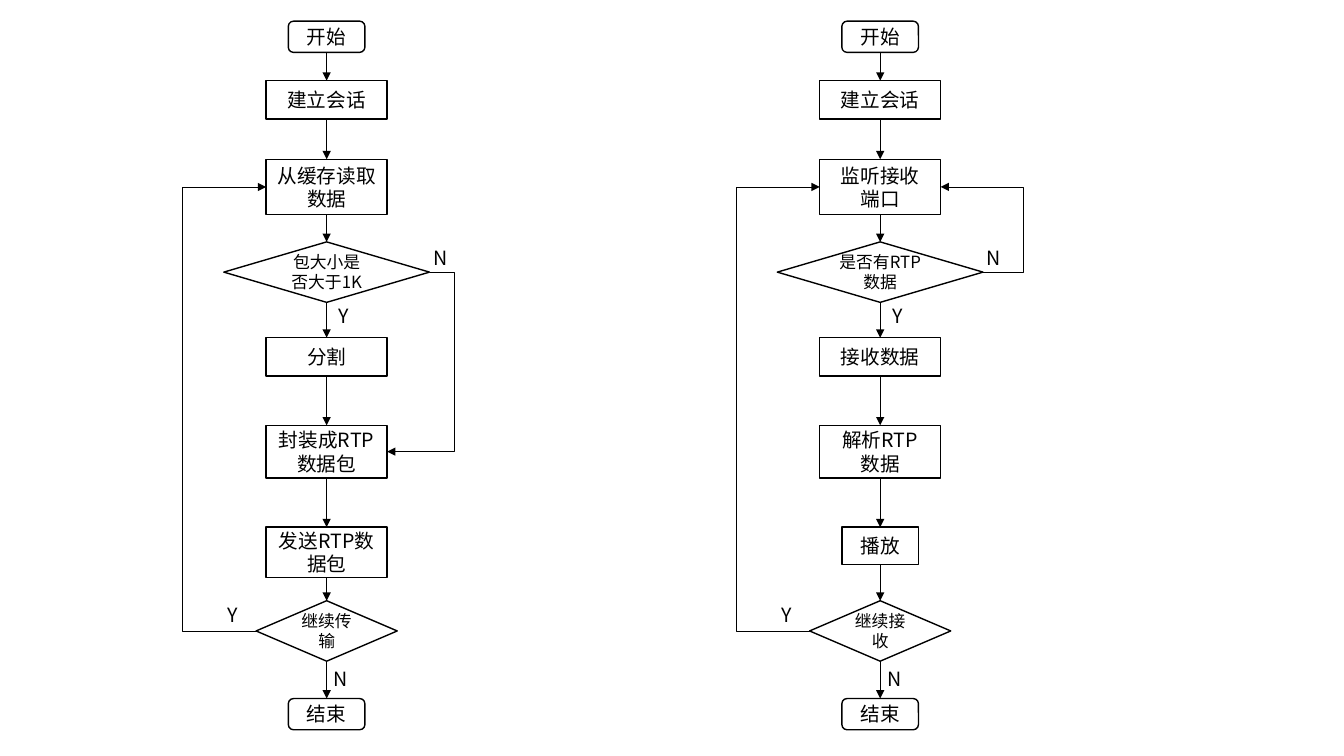
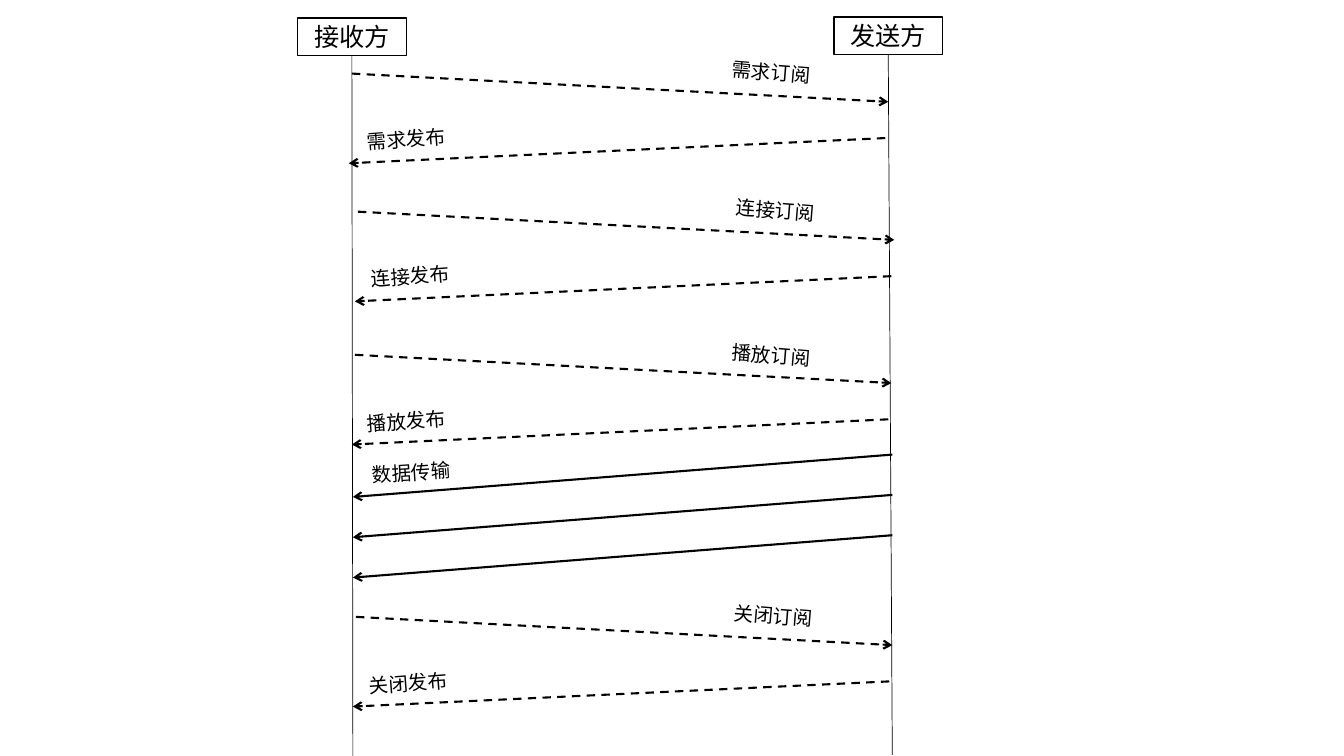
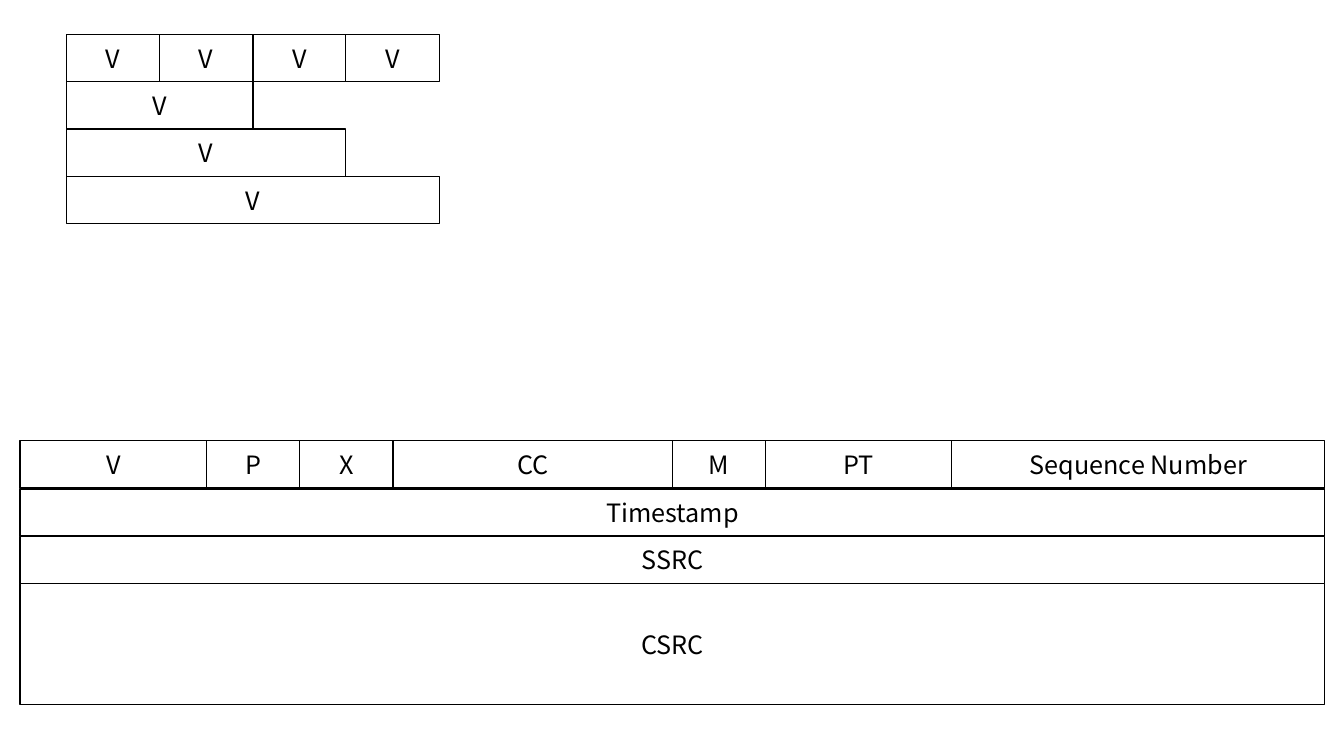
from dataclasses import dataclass

from lxml import etree
from pptx import Presentation
from pptx.dml.color import RGBColor
from pptx.enum.dml import MSO_LINE
from pptx.enum.shapes import MSO_CONNECTOR, MSO_SHAPE
from pptx.enum.text import MSO_ANCHOR, MSO_AUTO_SIZE, PP_ALIGN
from pptx.oxml.ns import qn
from pptx.util import Pt

TERMINAL = MSO_SHAPE.FLOWCHART_ALTERNATE_PROCESS
PROCESS = MSO_SHAPE.FLOWCHART_PROCESS
DECISION = MSO_SHAPE.FLOWCHART_DECISION
RECTANGLE = MSO_SHAPE.RECTANGLE
STRAIGHT, ELBOW = MSO_CONNECTOR.STRAIGHT, MSO_CONNECTOR.ELBOW
DASH = MSO_LINE.DASH
MIDDLE = MSO_ANCHOR.MIDDLE
CENTER, LEFT = PP_ALIGN.CENTER, PP_ALIGN.LEFT
GROW = MSO_AUTO_SIZE.SHAPE_TO_FIT_TEXT
TOP_SITE, LEFT_SITE, BOTTOM_SITE, RIGHT_SITE = range(4)
PX = 9144


@dataclass(frozen=True)
class Theme:
    ink: RGBColor = RGBColor(0, 0, 0)
    paper: RGBColor = RGBColor(255, 255, 255)
    font: str = "Noto Sans CJK SC"
    small: int = 12
    body: int = 14
    large: int = 18
    hairline: float = 0.5
    outline: float = 1
    message: float = 1.5


THEME = Theme()


def add_text(page, at, text, size=THEME.body, preset=None, filled=True):
    bounds = [length * PX for length in at]
    if preset is None:
        box = page.shapes.add_textbox(*bounds)
        box.text_frame.auto_size = GROW
    else:
        box = page.shapes.add_shape(preset, *bounds)
        box.shadow.inherit = False
        box.line.color.rgb = THEME.ink
        box.line.width = Pt(THEME.outline)
        if filled:
            box.fill.solid()
            box.fill.fore_color.rgb = THEME.paper
        else:
            box.fill.background()
        box.text_frame.vertical_anchor = MIDDLE
    box.text_frame.word_wrap = True
    box.text_frame.text = text
    for para in box.text_frame.paragraphs:
        para.alignment = CENTER if preset else LEFT
        para.font.name = THEME.font
        para.font.size = Pt(size)
        para.font.color.rgb = THEME.ink
        defaults = para._p.pPr.find(qn("a:defRPr"))
        etree.SubElement(defaults, qn("a:ea"), typeface=THEME.font)
    return box


def add_line(page, start, end, width=THEME.hairline, tail=None, dash=None, via=None):
    kind = STRAIGHT if via is None else ELBOW
    line = page.shapes.add_connector(kind, *[length * PX for length in (*start, *end)])
    line.line.color.rgb = THEME.ink
    line.line.width = Pt(width)
    if dash:
        line.line.dash_style = dash
    if tail:
        etree.SubElement(line.line._get_or_add_ln(), qn("a:tailEnd"), type=tail)
    properties = line._element.spPr
    etree.SubElement(properties, qn("a:effectLst"))
    if via is not None:
        bend = round((via - start[0]) / (end[0] - start[0]) * 100000)
        guides = properties.find(qn("a:prstGeom")).get_or_add_avLst()
        etree.SubElement(guides, qn("a:gd"), name="adj1", fmla=f"val {bend}")
    return line


deck = Presentation()
deck.slide_width = 1333 * PX
deck.slide_height = 750 * PX
blank = deck.slide_layouts[6]

page = deck.slides.add_slide(blank)
steps = [
    (TERMINAL, 21, 76, 31, THEME.body),
    (PROCESS, 80, 120, 38, THEME.body),
    (PROCESS, 158, 120, 55, THEME.body),
    (DECISION, 240, 204, 60, THEME.small),
    (PROCESS, 335, 120, 38, THEME.body),
    (PROCESS, 422, 120, 52, THEME.body),
    (PROCESS, 523, 120, 50, THEME.body),
    (DECISION, 596, 140, 60, THEME.small),
    (TERMINAL, 693, 76, 31, THEME.body),
]
READ, CHECK, PACK, PLAY, REPEAT = 2, 3, 5, 6, 7
flows = [
    (324, ["开始", "建立会话", "从缓存读取数据", "包大小是否大于1K", "分割",
           "封装成RTP数据包", "发送RTP数据包", "继续传输", "结束"], {}, PACK, 127),
    (873, ["开始", "建立会话", "监听接收\n端口", "是否有RTP数据", "接收数据",
           "解析RTP\n数据", "播放", "继续接收", "结束"], {PLAY: (76, 37)}, READ, 142),
]
for axis, texts, resized, no_target, no_reach in flows:
    nodes, sides = [], []
    for index, (preset, top, width, height, size) in enumerate(steps):
        width, height = resized.get(index, (width, height))
        left = axis - width // 2
        nodes.append(add_text(page, (left, top, width, height), texts[index], size, preset))
        middle = top + height // 2
        sides.append({TOP_SITE: (axis, top), LEFT_SITE: (left, middle),
                      BOTTOM_SITE: (axis, top + height), RIGHT_SITE: (left + width, middle)})
    links = [(index, BOTTOM_SITE, index + 1, TOP_SITE, None) for index in range(len(nodes) - 1)]
    links.append((CHECK, RIGHT_SITE, no_target, RIGHT_SITE, axis + no_reach))
    links.append((REPEAT, LEFT_SITE, READ, LEFT_SITE, axis - 143))
    for source, source_site, target, target_site, via in links:
        arrow = add_line(page, sides[source][source_site], sides[target][target_site],
                         tail="triangle", via=via)
        arrow.begin_connect(nodes[source], source_site)
        arrow.end_connect(nodes[target], target_site)
    for answer, shift, top in [("Y", 2, 297), ("N", 96, 239), ("N", -3, 657), ("Y", -108, 593)]:
        add_text(page, (axis + shift, top, 43, 34), answer)

page = deck.slides.add_slide(blank)
for name, left, top, foot in [("接收方", 295, 18, (350, 750)), ("发送方", 827, 17, (885, 749))]:
    party = add_text(page, (left, top, 108, 37), name, THEME.large, PROCESS, filled=False)
    lifeline = add_line(page, (left + 54, top + 37), foot)
    lifeline.begin_connect(party, BOTTOM_SITE)
exchanges = [
    ("需求", 349, 73, 716, 57, 149, 128),
    ("连接", 355, 210, 720, 193, 128, 128),
    ("播放", 352, 352, 716, 337, 128, 128),
    ("关闭", 353, 612, 718, 596, 147, 145),
]
messages, labels = [], [("数据传输", 359, 451, 128, -3.8)]
for topic, left, top, label_left, label_top, request_width, reply_width in exchanges:
    messages.append(((left, top), (left + 532, top + 28), DASH))
    messages.append(((left + 529, top + 64), (left - 3, top + 89), DASH))
    labels.append((topic + "订阅", label_left, label_top, request_width, 4.6))
    labels.append((topic + "发布", label_left - 362, label_top + 63, reply_width, -4.4))
for top in range(451, 532, 40):
    messages.append(((885, top), (350, top + 42), None))
for start, end, dash in messages:
    add_line(page, start, end, THEME.message, "arrow", dash)
for text, left, top, width, angle in labels:
    add_text(page, (left, top, width, 34), text).rotation = angle

page = deck.slides.add_slide(blank)
UNIT = 1294 / 14
packets = [
    (66, [
        (34, 47, [("V", 1)] * 4),
        (81, 47, [("V", 2)]),
        (128, 47, [("V", 3)]),
        (175, 47, [("V", 4)]),
    ]),
    (20, [
        (437, 47, [("V", 2), ("P", 1), ("X", 1), ("CC", 3), ("M", 1), ("PT", 2),
                   ("Sequence Number", 4)]),
        (485, 47, [("Timestamp", 14)]),
        (532, 47, [("SSRC", 14)]),
        (579, 120, [("CSRC", 14)]),
    ]),
]
for packet_left, rows in packets:
    for top, height, fields in rows:
        column = 0
        for name, units in fields:
            left = packet_left + round(column * UNIT)
            column += units
            right = packet_left + round(column * UNIT)
            add_text(page, (left, top, right - left, height), name, THEME.large, RECTANGLE)

deck.save("out.pptx")
